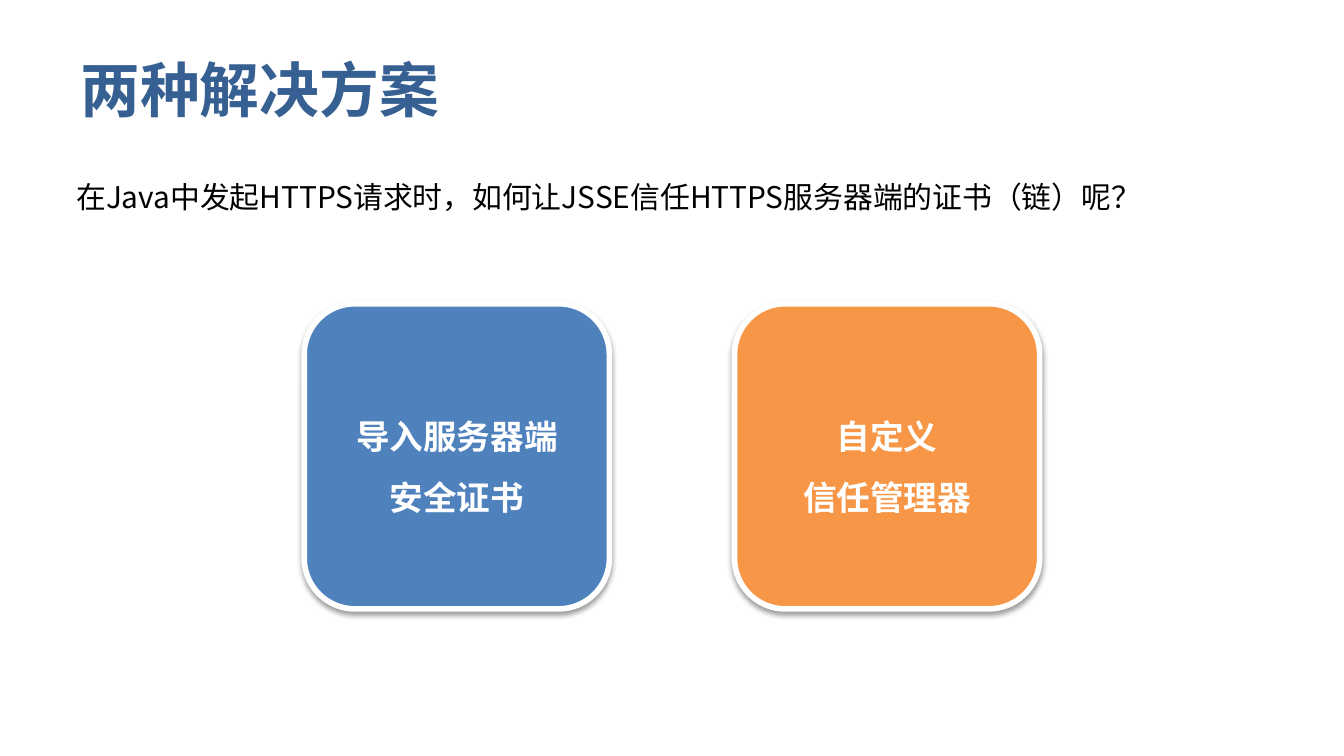
"""Build a slide that poses a question about HTTPS trust and shows two solutions."""
from dataclasses import dataclass

from lxml import etree
from pptx import Presentation
from pptx.dml.color import RGBColor
from pptx.enum.shapes import MSO_SHAPE
from pptx.enum.text import MSO_ANCHOR, PP_ALIGN
from pptx.oxml.ns import qn
from pptx.util import Pt

ROUNDED = MSO_SHAPE.ROUNDED_RECTANGLE
MIDDLE, TOP = MSO_ANCHOR.MIDDLE, MSO_ANCHOR.TOP
LEFT, CENTER = PP_ALIGN.LEFT, PP_ALIGN.CENTER
FONT = "Noto Sans CJK SC"
SLIDE_WIDTH, SLIDE_HEIGHT = 720, 405
CARD_SIZE, CARD_GAP, CARD_TOP = 163.5, 67, 162.75


@dataclass(frozen=True)
class TextStyle:
    size: float
    color: str
    bold: bool = False
    align: PP_ALIGN = LEFT
    anchor: MSO_ANCHOR = TOP
    spacing: float = 1.0


@dataclass(frozen=True)
class Label:
    text: str
    left: float
    top: float
    width: float
    height: float
    style: TextStyle


@dataclass(frozen=True)
class Solution:
    lines: tuple[str, ...]
    color: str


HEADING = Label("两种解决方案", 36, 21.6, 648, 52,
                TextStyle(32, "376092", bold=True, anchor=MIDDLE))
QUESTION = Label("在Java中发起HTTPS请求时，如何让JSSE信任HTTPS服务器端的证书（链）呢？",
                 33.8, 82.8, 641.5, 36, TextStyle(16, "000000", spacing=1.5))
CARD_STYLE = TextStyle(18, "FFFFFF", bold=True, align=CENTER, anchor=MIDDLE, spacing=1.5)
SOLUTIONS = (
    Solution(("导入服务器端", "安全证书"), "4F81BD"),
    Solution(("自定义", "信任管理器"), "F79646"),
)


def rgb(value: str) -> RGBColor:
    return RGBColor.from_string(value)


def write_text(shape, lines: tuple[str, ...], style: TextStyle) -> None:
    frame = shape.text_frame
    frame.word_wrap = True
    frame.vertical_anchor = style.anchor
    frame.text = "\n".join(lines)
    for paragraph in frame.paragraphs:
        paragraph.alignment = style.align
        paragraph.line_spacing = style.spacing
        font = paragraph.font
        font.size = Pt(style.size)
        font.bold = style.bold
        font.name = FONT
        font.color.rgb = rgb(style.color)
        defaults = paragraph._p.pPr.find(qn("a:defRPr"))
        etree.SubElement(defaults, qn("a:ea"), typeface=FONT)


def add_label(slide, label: Label) -> None:
    box = slide.shapes.add_textbox(
        Pt(label.left), Pt(label.top), Pt(label.width), Pt(label.height))
    write_text(box, (label.text,), label.style)


def add_shadow(shape) -> None:
    shape.shadow.inherit = False
    effects = shape._element.spPr.find(qn("a:effectLst"))
    shadow = etree.SubElement(
        effects, qn("a:outerShdw"), blurRad=str(Pt(3.1)), dist=str(Pt(1.6)),
        dir="5400000", rotWithShape="0")
    color = etree.SubElement(shadow, qn("a:srgbClr"), val="000000")
    etree.SubElement(color, qn("a:alpha"), val="38000")


def add_card(slide, solution: Solution, left: float) -> None:
    card = slide.shapes.add_shape(
        ROUNDED, Pt(left), Pt(CARD_TOP), Pt(CARD_SIZE), Pt(CARD_SIZE))
    card.fill.solid()
    card.fill.fore_color.rgb = rgb(solution.color)
    card.line.color.rgb = rgb("FFFFFF")
    card.line.width = Pt(3)
    add_shadow(card)
    write_text(card, solution.lines, CARD_STYLE)


def main() -> None:
    presentation = Presentation()
    presentation.slide_width = Pt(SLIDE_WIDTH)
    presentation.slide_height = Pt(SLIDE_HEIGHT)
    slide = presentation.slides.add_slide(presentation.slide_layouts[6])
    add_label(slide, HEADING)
    pitch = CARD_SIZE + CARD_GAP
    first_left = (SLIDE_WIDTH - len(SOLUTIONS) * pitch + CARD_GAP) / 2
    for index, solution in enumerate(SOLUTIONS):
        add_card(slide, solution, first_left + index * pitch)
    add_label(slide, QUESTION)
    presentation.save("out.pptx")


if __name__ == "__main__":
    main()
